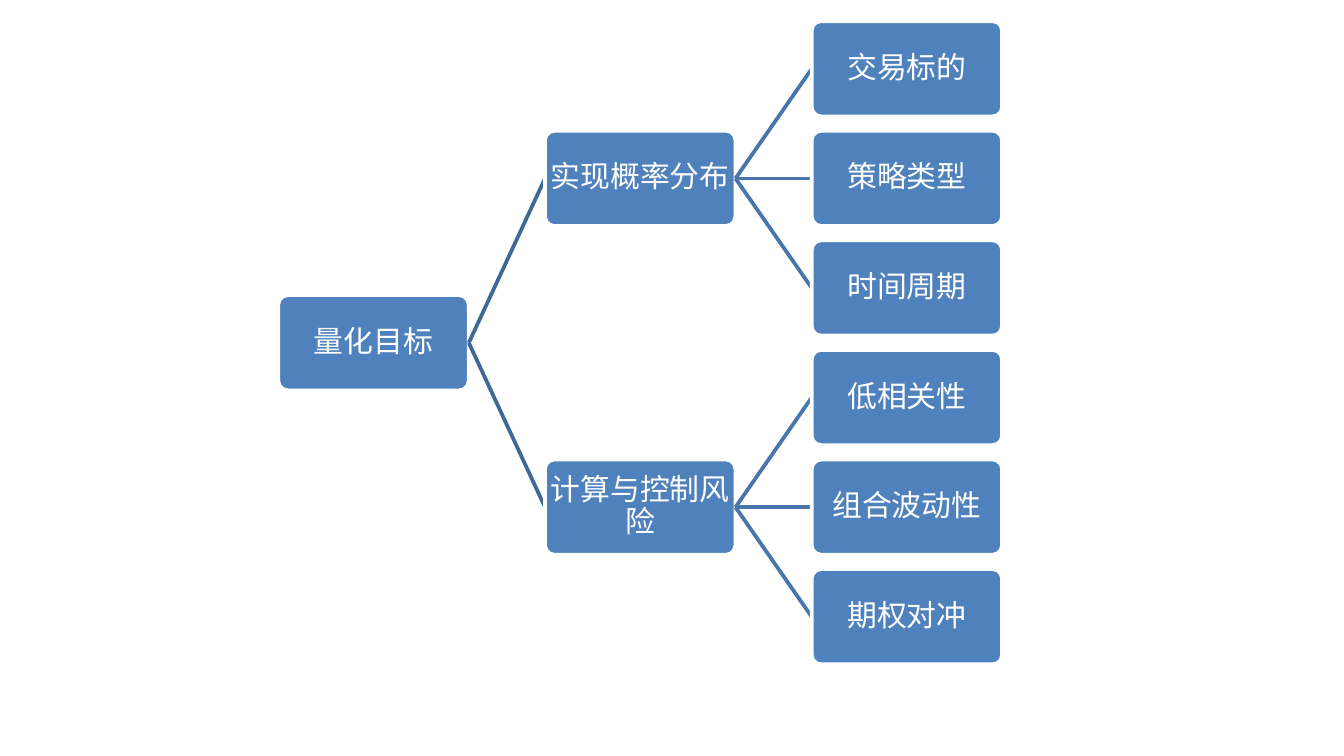
from lxml.etree import SubElement
from pptx import Presentation
from pptx.dml.color import RGBColor
from pptx.enum.shapes import MSO_CONNECTOR, MSO_SHAPE
from pptx.enum.text import MSO_ANCHOR, PP_ALIGN
from pptx.oxml.ns import qn
from pptx.util import Cm, Pt

BOX_WIDTH, BOX_HEIGHT = 3.6, 1.8
LEFT, COLUMN_STEP = 5.26, 5.04
FIRST_CENTRE, ROW_STEP = 1.3, 2.07
LINK_COLOURS = ["3F6797", "4875AC"]

ROOT = "量化目标"
BRANCHES = {
    "实现概率分布": ["交易标的", "策略类型", "时间周期"],
    "计算与控制风险": ["低相关性", "组合波动性", "期权对冲"],
}
FRAME_FORMAT = {
    "word_wrap": True, "vertical_anchor": MSO_ANCHOR.MIDDLE,
    "margin_left": Cm(0.03), "margin_right": Cm(0.03),
    "margin_top": Cm(0.03), "margin_bottom": Cm(0.03),
}
PARA_FORMAT = {"alignment": PP_ALIGN.CENTER, "line_spacing": 0.9}
FONT_FORMAT = {"name": "Calibri", "size": Pt(16)}


def paint(colour_format, colour):
    colour_format.rgb = RGBColor.from_string(colour)


def add_node(text, column, row, parent_row=None):
    """Draw the link from the parent, if any, and then the box."""
    left = LEFT + column * COLUMN_STEP
    centre = FIRST_CENTRE + row * ROW_STEP
    if parent_row is not None:
        link = slide.shapes.add_connector(
            MSO_CONNECTOR.STRAIGHT,
            Cm(left - COLUMN_STEP + BOX_WIDTH),
            Cm(FIRST_CENTRE + parent_row * ROW_STEP),
            Cm(left), Cm(centre))
        link.line.width = Pt(2)
        paint(link.line.color, LINK_COLOURS[column - 1])
        SubElement(link._element.spPr, qn("a:effectLst"))

    box = slide.shapes.add_shape(
        MSO_SHAPE.ROUNDED_RECTANGLE, Cm(left), Cm(centre - BOX_HEIGHT / 2),
        Cm(BOX_WIDTH), Cm(BOX_HEIGHT))
    box.adjustments[0] = 0.1
    box.shadow.inherit = False
    box.fill.solid()
    paint(box.fill.fore_color, "4F81BD")
    box.line.width = Pt(2)
    paint(box.line.color, "FFFFFF")

    frame = box.text_frame
    para = frame.paragraphs[0]
    span = para.add_run()
    span.text = text
    paint(span.font.color, "FFFFFF")
    for target, values in ((frame, FRAME_FORMAT), (para, PARA_FORMAT),
                           (span.font, FONT_FORMAT)):
        for name, value in values.items():
            setattr(target, name, value)


deck = Presentation()
deck.slide_width, deck.slide_height = Cm(25.4), Cm(14.28)
slide = deck.slides.add_slide(deck.slide_layouts[6])

# Root, centred on all the leaves
root_row = 2.5
add_node(ROOT, 0, root_row)

# Branches, each centred on its own leaves
first_row = 0
for branch, leaves in BRANCHES.items():
    branch_row = first_row + (len(leaves) - 1) / 2
    add_node(branch, 1, branch_row, root_row)
    for row, leaf in enumerate(leaves, first_row):
        add_node(leaf, 2, row, branch_row)
    first_row += len(leaves)

deck.save("out.pptx")
